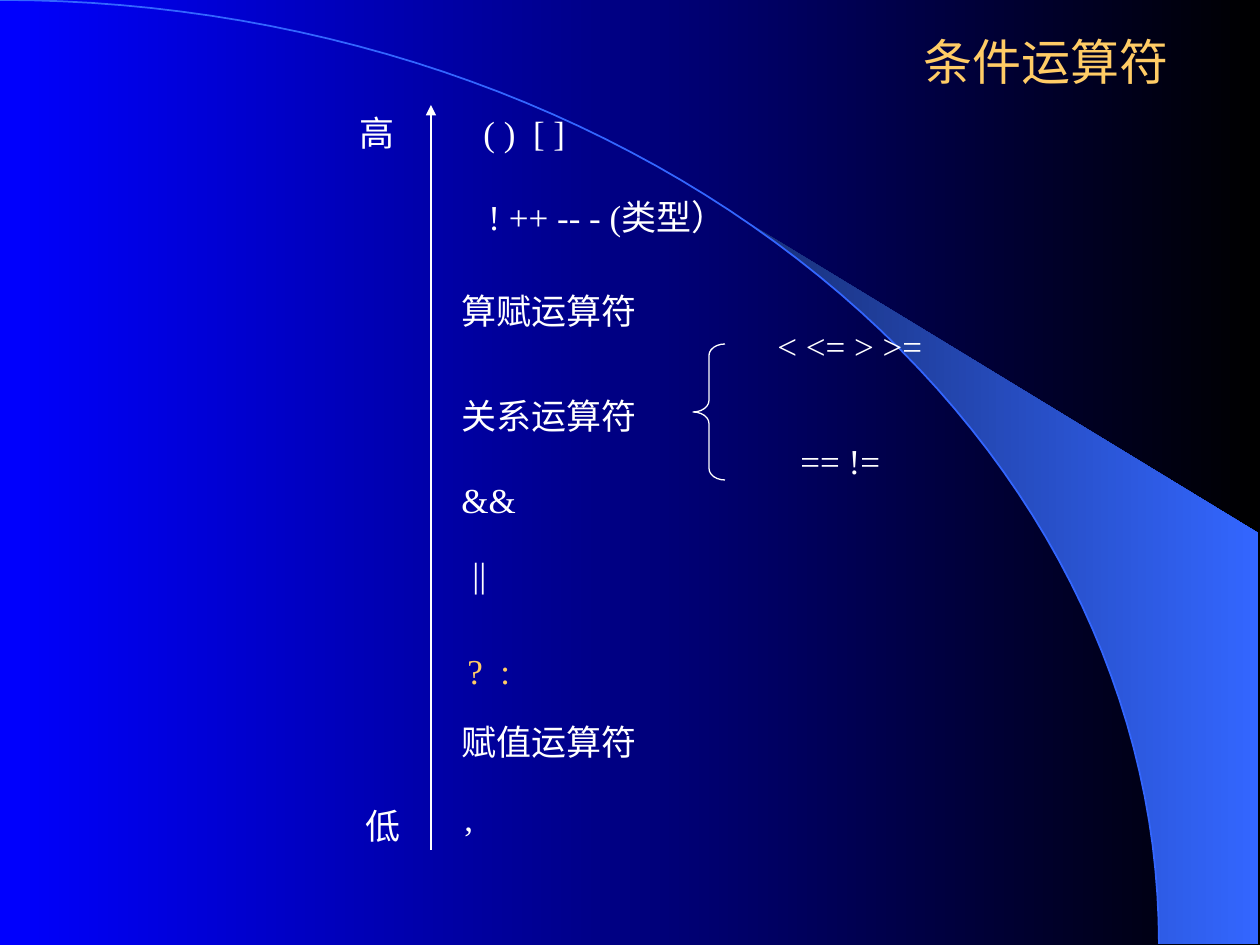
import math
from typing import NamedTuple

from lxml import etree
from pptx import Presentation
from pptx.dml.color import RGBColor
from pptx.enum.shapes import MSO_CONNECTOR, MSO_SHAPE
from pptx.enum.text import MSO_ANCHOR, MSO_AUTO_SIZE, PP_ALIGN
from pptx.oxml.ns import qn
from pptx.util import Emu, Pt

STRAIGHT = MSO_CONNECTOR.STRAIGHT
LEFT_BRACE = MSO_SHAPE.LEFT_BRACE
MIDDLE = MSO_ANCHOR.MIDDLE
FIT_SHAPE, FIT_NONE = MSO_AUTO_SIZE.SHAPE_TO_FIT_TEXT, MSO_AUTO_SIZE.NONE
LEFT, CENTER = PP_ALIGN.LEFT, PP_ALIGN.CENTER

EMU_PER_PX = 914400 / 126
SLIDE_W, SLIDE_H = 1260, 945
CURVE_W, CURVE_H = 1159, 944
WEDGE_LEFT, WEDGE_RIGHT, WEDGE_CORNER_Y = 742, 1258, 533
CURVE_STEPS = 60
LABEL_H = 55
COLUMN_X, COLUMN_W = 449, 202

COLORS = {
    "blue": "0000FF",
    "black": "000000",
    "navy": "182F76",
    "azure": "3366FF",
    "white": "FFFFFF",
    "gold": "FFCC66",
}
LABEL_FRAME = {"word_wrap": False, "auto_size": FIT_SHAPE}
TITLE_FRAME = {"word_wrap": True, "auto_size": FIT_NONE, "vertical_anchor": MIDDLE}
LABEL_FONT = {"name": "Times New Roman", "size": Pt(20)}
TITLE_FONT = {"name": "Arial", "size": Pt(28)}


class Label(NamedTuple):
    text: str
    left: int
    top: int
    width: int
    color: str = "white"


LABELS = [
    Label("高", 347, 105, 62),
    Label("低", 353, 798, 62),
    Label("( )  [ ]", 471, 105, 109),
    Label("! ++ -- - (类型）", 476, 189, 274),
    Label("算赋运算符", COLUMN_X, 283, COLUMN_W),
    Label("关系运算符", COLUMN_X, 388, COLUMN_W),
    Label("< <= > >=", 765, 318, 172),
    Label("== !=", 788, 433, 107),
    Label("&&", COLUMN_X, 472, 82),
    Label("||", 460, 546, 41),
    Label("?  :", 455, 643, 70, "gold"),
    Label("赋值运算符", COLUMN_X, 714, COLUMN_W),
    Label(",", 452, 790, 36),
]
TITLE = Label("条件运算符", 852, 29, 388, "gold")
TITLE_H = 63


def emu(px: float) -> Emu:
    return Emu(round(px * EMU_PER_PX))


def rgb(color: str) -> RGBColor:
    return RGBColor.from_string(COLORS[color])


def fill_gradient(fill, start: str, end: str) -> None:
    fill.gradient()
    fill.gradient_angle = 0
    for stop, color in zip(fill.gradient_stops, (start, end)):
        stop.color.rgb = rgb(color)


def set_line(line, color: str, width: float) -> None:
    line.color.rgb = rgb(color)
    line.width = Pt(width)


def curve_points(start_x: float) -> list[tuple[float, float]]:
    """Points of the quarter ellipse from start_x down to its lower right end."""
    start_angle = math.acos(start_x / CURVE_W)
    angles = (start_angle * (1 - step / CURVE_STEPS) for step in range(CURVE_STEPS + 1))
    return [(CURVE_W * math.cos(a), CURVE_H * (1 - math.sin(a))) for a in angles]


def add_outline(shapes, points: list[tuple[float, float]], close: bool):
    first, *rest = [(emu(x), emu(y)) for x, y in points]
    builder = shapes.build_freeform(*first, scale=1.0)
    builder.add_line_segments(rest, close=close)
    outline = builder.convert_to_shape()
    outline.shadow.inherit = False
    return outline


def add_backdrop(slide) -> None:
    fill_gradient(slide.background.fill, "blue", "black")
    corner = [(WEDGE_RIGHT, CURVE_H), (WEDGE_RIGHT, WEDGE_CORNER_Y)]
    wedge = add_outline(slide.shapes, curve_points(WEDGE_LEFT) + corner, True)
    fill_gradient(wedge.fill, "navy", "azure")
    wedge.line.fill.background()
    curve = add_outline(slide.shapes, curve_points(0), False)
    curve.fill.background()
    set_line(curve.line, "azure", 1)


def add_label(shapes, label: Label, height: int = LABEL_H, frame_format: dict = LABEL_FRAME,
              font_format: dict = LABEL_FONT, align: PP_ALIGN = LEFT) -> None:
    box = shapes.add_textbox(emu(label.left), emu(label.top), emu(label.width), emu(height))
    frame = box.text_frame
    paragraph = frame.paragraphs[0]
    paragraph.alignment = align
    run = paragraph.add_run()
    run.text = label.text
    run.font.color.rgb = rgb(label.color)
    for target, values in ((frame, frame_format), (run.font, font_format)):
        for attribute, value in values.items():
            setattr(target, attribute, value)


def add_priority_arrow(shapes) -> None:
    arrow = shapes.add_connector(STRAIGHT, emu(431), emu(850), emu(431), emu(105))
    set_line(arrow.line, "white", 0.75)
    etree.SubElement(arrow.line._get_or_add_ln(), qn("a:tailEnd"), type="triangle")
    etree.SubElement(arrow._element.spPr, qn("a:effectLst"))


def add_relation_brace(shapes) -> None:
    brace = shapes.add_shape(LEFT_BRACE, emu(693), emu(344), emu(32), emu(136))
    brace.shadow.inherit = False
    brace.adjustments[0] = 0.36
    brace.fill.background()
    set_line(brace.line, "white", 0.75)


def main() -> None:
    deck = Presentation()
    deck.slide_width, deck.slide_height = emu(SLIDE_W), emu(SLIDE_H)
    slide = deck.slides.add_slide(deck.slide_layouts[6])
    add_backdrop(slide)
    add_label(slide.shapes, TITLE, TITLE_H, TITLE_FRAME, TITLE_FONT, CENTER)
    add_priority_arrow(slide.shapes)
    add_relation_brace(slide.shapes)
    for label in LABELS:
        add_label(slide.shapes, label)
    deck.save("out.pptx")


if __name__ == "__main__":
    main()
